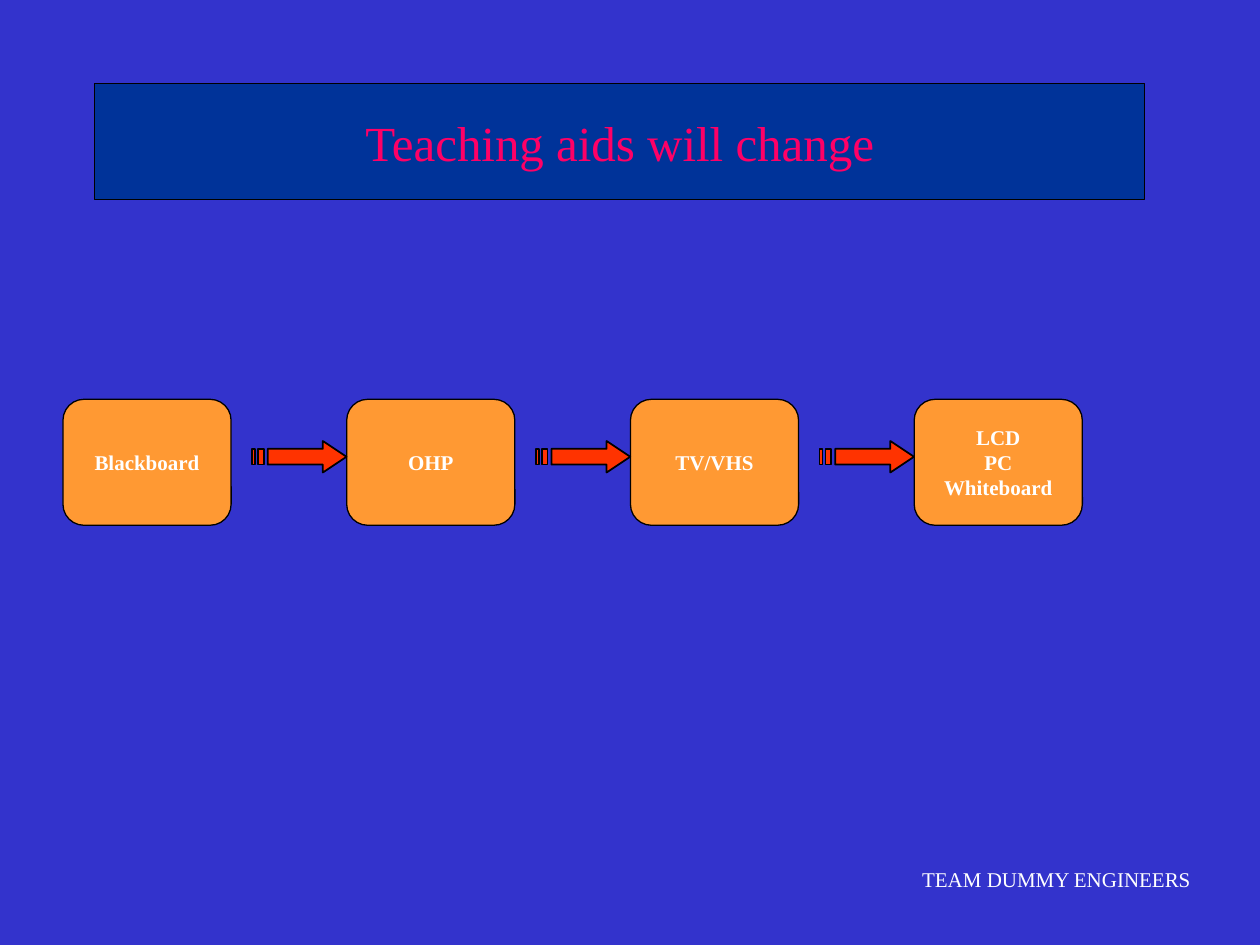
from pptx import Presentation
from pptx import util as u
from pptx.dml.color import RGBColor
from pptx.enum import shapes, text

BLUE = RGBColor(0x33, 0x33, 0xCC)
NAVY = RGBColor(0x00, 0x33, 0x99)
PINK = RGBColor(0xFF, 0x00, 0x66)
ORANGE = RGBColor(0xFF, 0x99, 0x33)
RED = RGBColor(0xFF, 0x33, 0x00)
WHITE = RGBColor(0xFF, 0xFF, 0xFF)
BLACK = RGBColor(0x00, 0x00, 0x00)
FONT = "Times New Roman"

TITLE = "Teaching aids will change"
TEAM = "TEAM DUMMY ENGINEERS"
AIDS = ["Blackboard", "OHP", "TV/VHS", "LCD\nPC\nWhiteboard"]

# Lengths in centimetres
LEFT, TOP, STEP = 1.27, 8.05, 5.72
WIDE, HIGH = 3.39, 2.54
ARROW_X, ARROW_Y = 5.08, 8.89

# Arrow outlines: head with shaft, then two stripes, in 1/128 inch
UNIT = u.Cm(2.54) / 128
ARROW = [
    [(72, 0), (72, 8), (16, 8), (16, 24), (72, 24), (72, 32), (96, 16)],
    [(6, 8), (6, 24), (12, 24), (12, 8)],
    [(0, 8), (0, 24), (3, 24), (3, 8)],
]


def paint(shape, fill, width):
    shape.shadow.inherit = False
    shape.fill.solid()
    shape.fill.fore_color.rgb = fill
    shape.line.color.rgb = BLACK
    shape.line.width = u.Pt(width)


def write(shape, words, size=12, color=WHITE, bold=False, wrap=False,
          align=text.PP_ALIGN.CENTER, anchor=text.MSO_ANCHOR.MIDDLE):
    frame = shape.text_frame
    frame.word_wrap = wrap
    frame.vertical_anchor = anchor
    frame.text = words
    for para in frame.paragraphs:
        para.alignment = align
        font = para.runs[0].font
        font.name, font.size, font.bold = FONT, u.Pt(size), bold
        font.color.rgb = color


def add_box(slide, kind, x, y, w, h, fill):
    box = slide.shapes.add_shape(kind, u.Cm(x), u.Cm(y), u.Cm(w), u.Cm(h))
    paint(box, fill, 0.75)
    return box


def add_arrow(slide, x, y):
    first, *rest = ARROW
    pen = slide.shapes.build_freeform(*first[0], scale=UNIT)
    pen.add_line_segments(first[1:], close=True)
    for stripe in rest:
        pen.move_to(*stripe[0])
        pen.add_line_segments(stripe[1:], close=True)
    paint(pen.convert_to_shape(u.Cm(x), u.Cm(y)), RED, 1)


def main():
    deck = Presentation()
    deck.slide_width, deck.slide_height = u.Cm(25.4), u.Cm(19.05)
    slide = deck.slides.add_slide(deck.slide_layouts[6])
    back = slide.background.fill
    back.solid()
    back.fore_color.rgb = BLUE

    team = slide.shapes.add_textbox(u.Cm(18.34), u.Cm(17.35), u.Cm(5.94), u.Cm(0.76))
    write(team, TEAM, align=text.PP_ALIGN.LEFT, anchor=text.MSO_ANCHOR.TOP)
    team.text_frame.auto_size = text.MSO_AUTO_SIZE.SHAPE_TO_FIT_TEXT

    kind = shapes.MSO_SHAPE
    title = add_box(slide, kind.RECTANGLE, 1.91, 1.69, 21.17, 2.33, NAVY)
    write(title, TITLE, size=28, color=PINK, wrap=True)

    for i, aid in enumerate(AIDS):
        box = add_box(slide, kind.ROUNDED_RECTANGLE, LEFT + i * STEP, TOP, WIDE, HIGH, ORANGE)
        write(box, aid, bold=True)
    for i in range(len(AIDS) - 1):
        add_arrow(slide, ARROW_X + i * STEP, ARROW_Y)

    deck.save("out.pptx")


if __name__ == "__main__":
    main()
